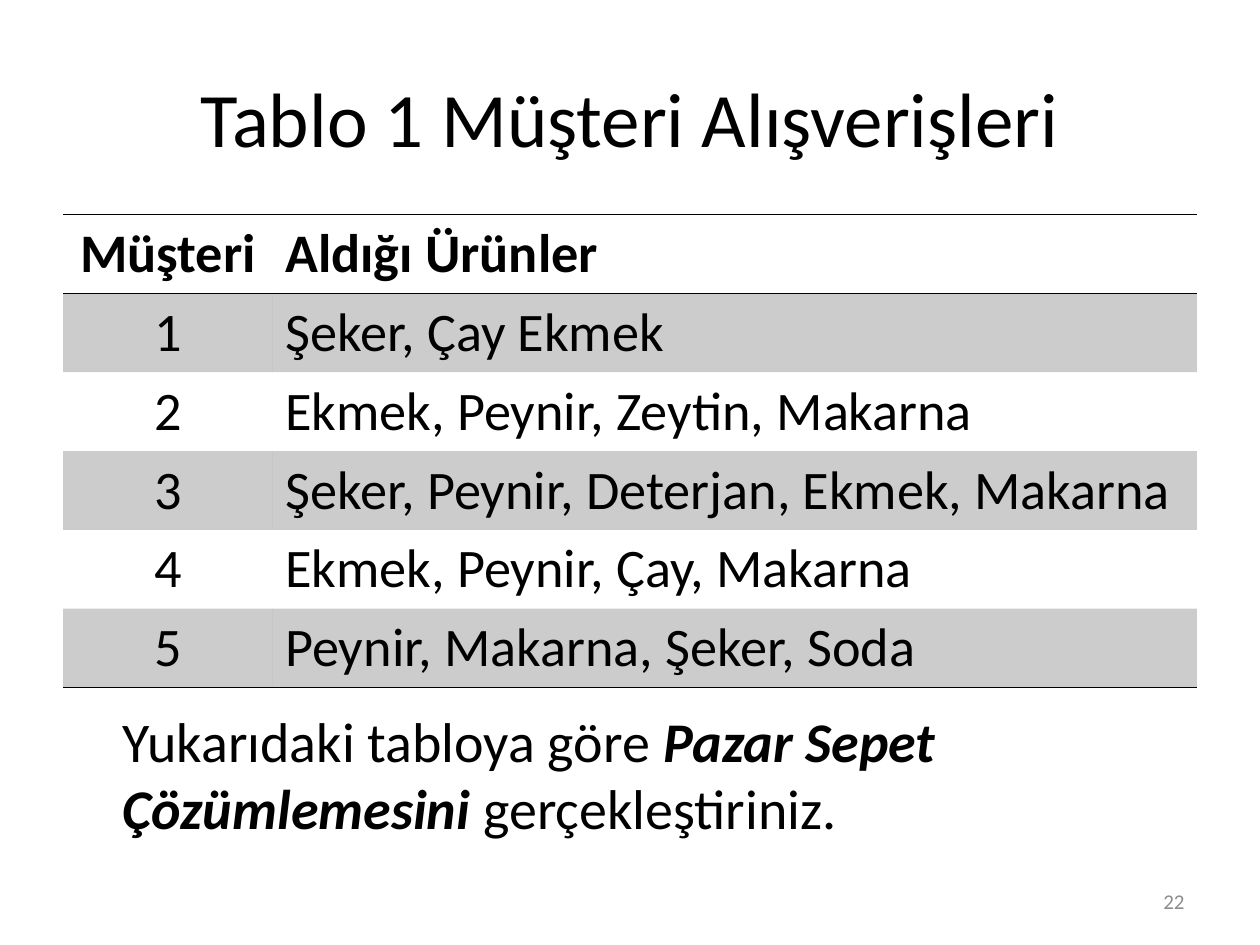
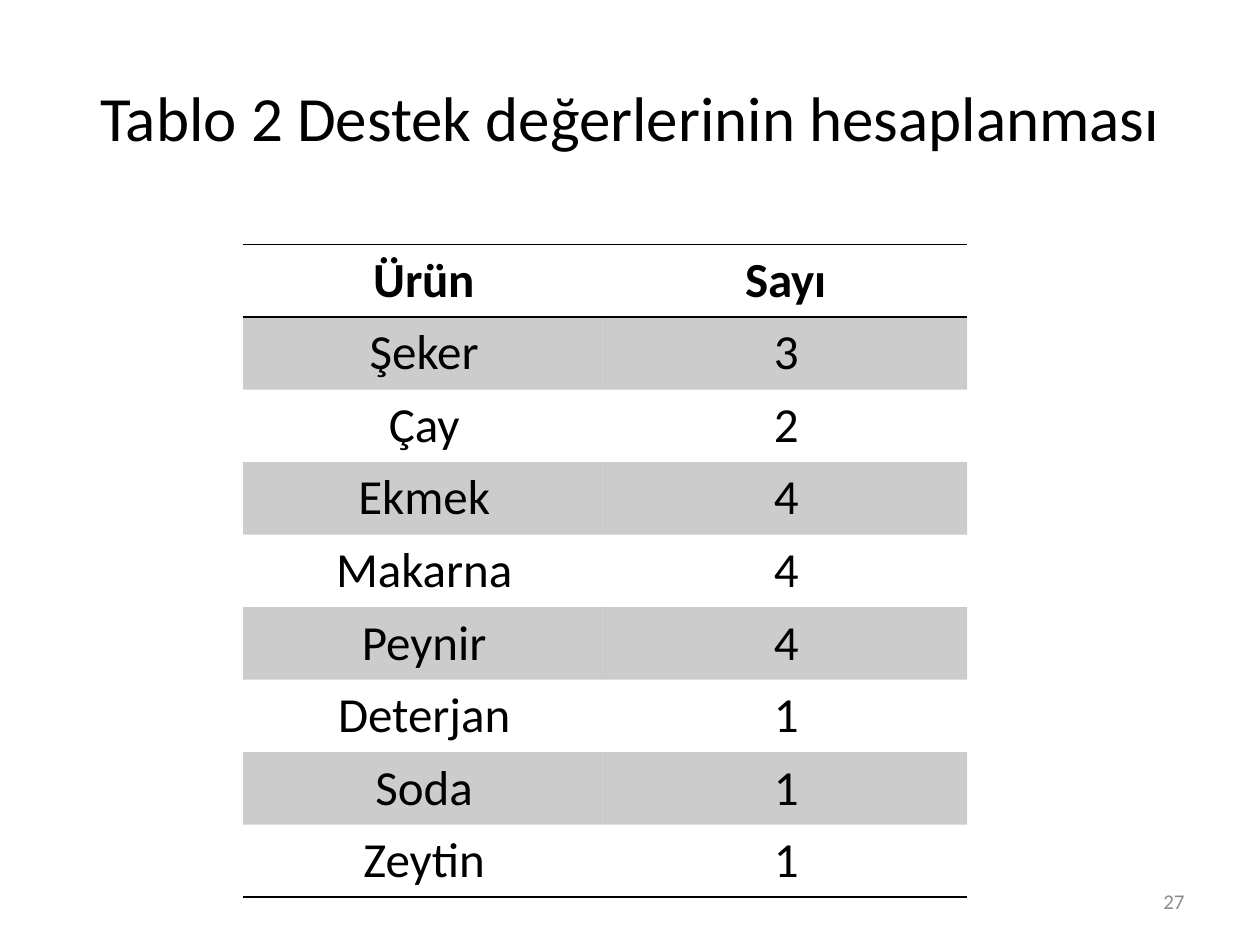
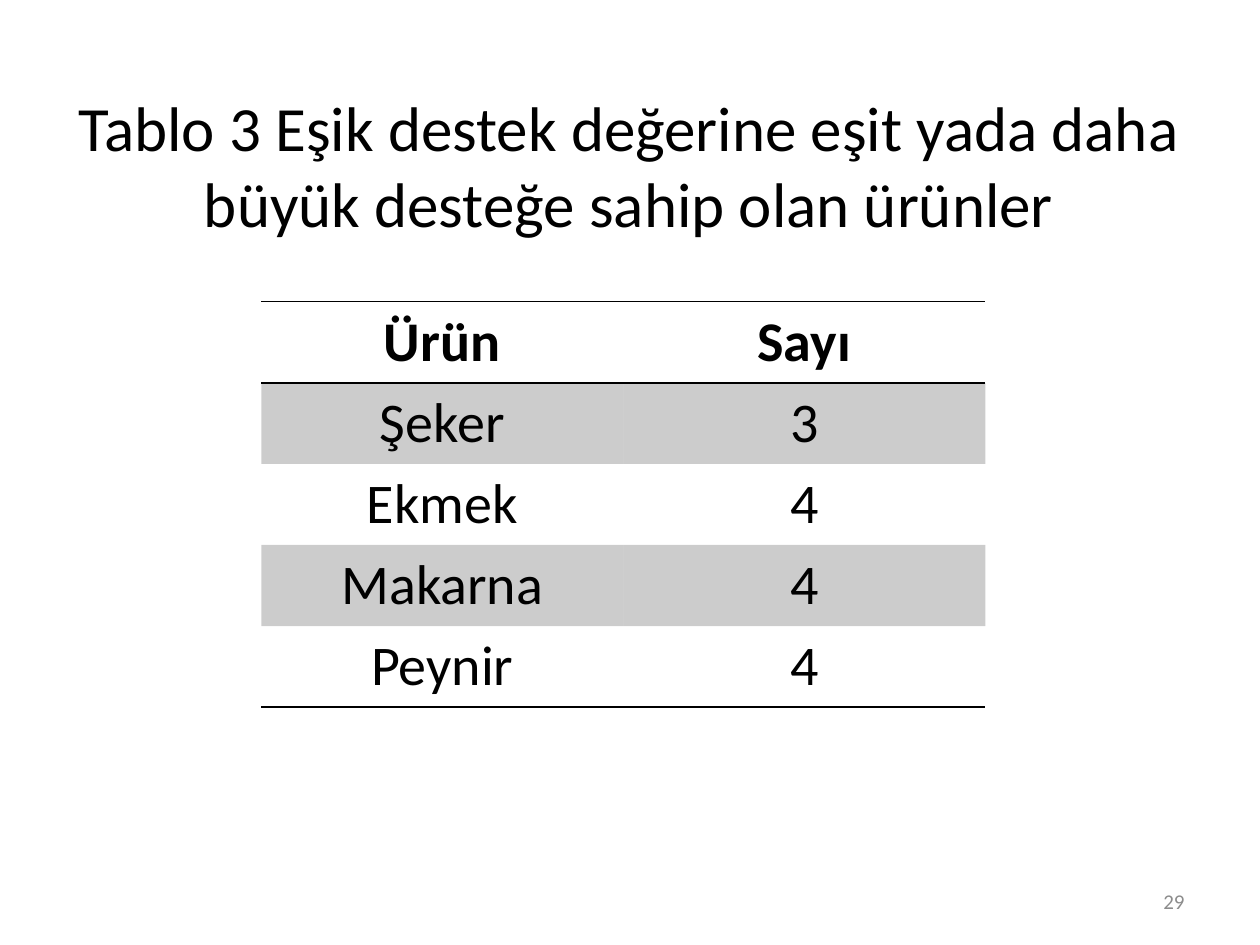
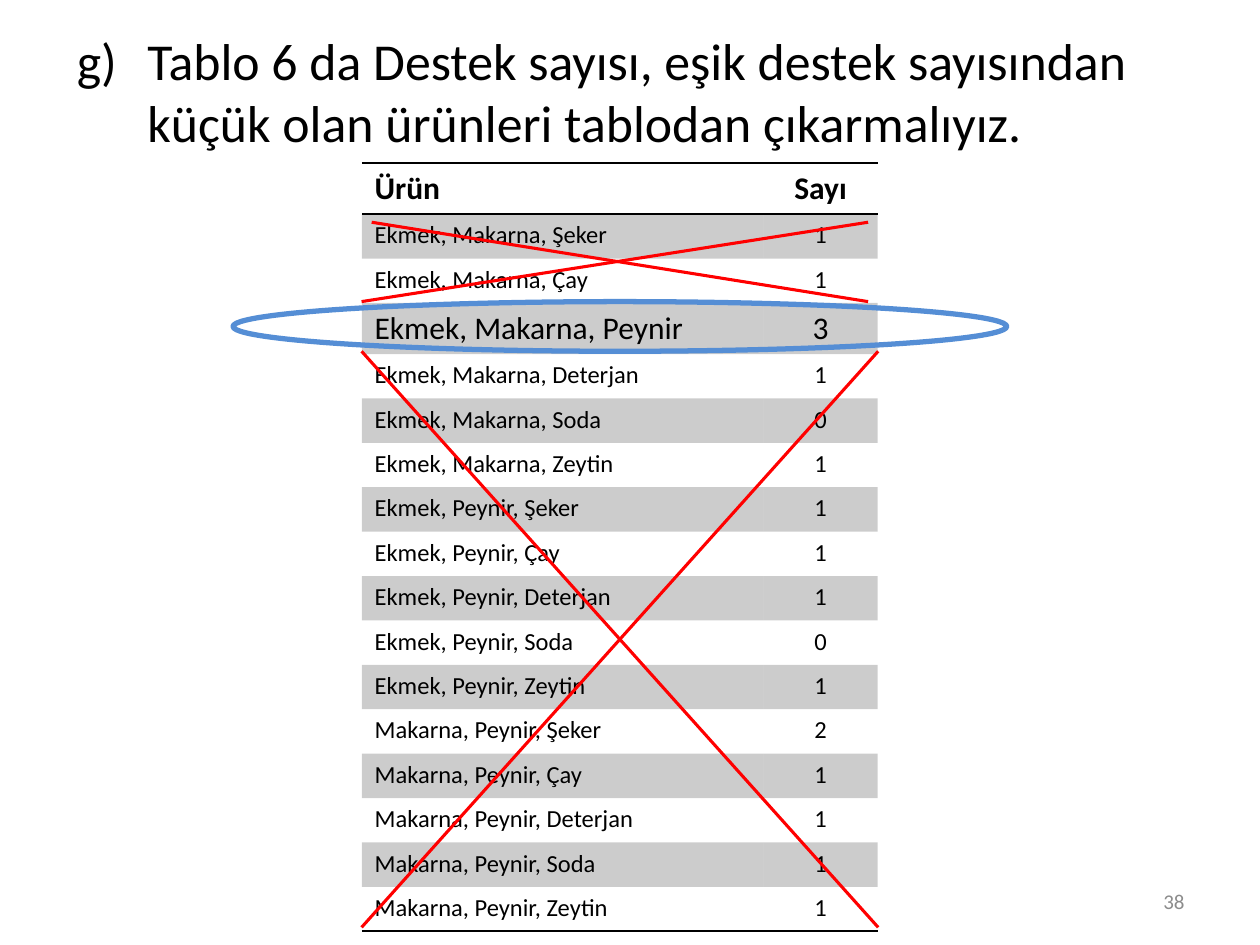
"""Build four slides on market basket analysis."""
import dataclasses

import lxml.etree
import pptx
import pptx.dml.color
import pptx.enum.shapes
import pptx.enum.text
import pptx.oxml.ns
import pptx.util

Pt = pptx.util.Pt
qn = pptx.oxml.ns.qn
RGB = pptx.dml.color.RGBColor.from_string
ALIGN = pptx.enum.text.PP_ALIGN
ANCHOR = pptx.enum.text.MSO_ANCHOR
WIDTH, HEIGHT = pptx.util.Inches(10), pptx.util.Inches(7.5)
COLS, ROWS = 100, 75


@dataclasses.dataclass(frozen=True)
class Theme:
    """Hold colours, type sizes and line widths."""
    font: str = "Calibri"
    ink: str = "000000"
    mute: str = "8C8C8C"
    ring: str = "558ED5"
    strike: str = "FF0000"
    shade: int = 20
    title: float = 44
    long: float = 36
    lead: float = 29.6
    note: float = 32
    wide: float = 31
    count: float = 28
    short: float = 32
    dense: float = 14
    stress: float = 18
    foot: float = 12
    rule: float = 1
    cross: float = 1.75
    loop: float = 3
    plain: str = "{2D5ABB26-0587-4C30-8999-92F81FD0307C}"


THEME = Theme()
HEAD = (5, 3, 90, 12.5)


def col(n):
    """Turn grid columns into a length."""
    return round(WIDTH * n / COLS)


def row(n):
    """Turn grid rows into a length."""
    return round(HEIGHT * n / ROWS)


def span(box):
    """Turn a grid box into left, top, width and height."""
    left, top, wide, high = box
    return col(left), row(top), col(wide), row(high)


def place(shape, box):
    """Move a shape to a grid box."""
    shape.left, shape.top, shape.width, shape.height = span(box)


def write(para, text, size, color=THEME.ink, bold=False, slant=False):
    """Add one run to a paragraph."""
    run = para.add_run()
    run.text = text
    font = run.font
    font.name, font.size = THEME.font, Pt(size)
    font.bold, font.italic = bold, slant
    font.color.rgb = RGB(color)


def setup(shape, anchor, align):
    """Set up a text frame and return its first paragraph."""
    frame = shape.text_frame
    frame.word_wrap = True
    frame.auto_size = pptx.enum.text.MSO_AUTO_SIZE.NONE
    frame.vertical_anchor = anchor
    para = frame.paragraphs[0]
    para.alignment = align
    return para


def indent(para, left, first):
    """Set the left and first-line indents of a paragraph."""
    props = para._p.get_or_add_pPr()
    props.set("marL", str(col(left)))
    props.set("indent", str(col(first)))
    return props


def footer(slide, number):
    """Add the slide number."""
    shape = slide.shapes.add_textbox(*span((71.7, 69.5, 23.3, 4)))
    write(setup(shape, ANCHOR.MIDDLE, ALIGN.RIGHT), str(number), THEME.foot, THEME.mute)


def titled(deck, text, number, size, box=HEAD):
    """Add a slide with a title and a number."""
    slide = deck.slides.add_slide(deck.slide_layouts[5])
    shape = slide.shapes.title
    place(shape, box)
    write(setup(shape, ANCHOR.MIDDLE, ALIGN.CENTER), text, size)
    footer(slide, number)
    return slide


def listed(deck, text, number, start):
    """Add a slide led by a lettered paragraph."""
    slide = deck.slides.add_slide(deck.slide_layouts[1])
    title = slide.shapes.title.element
    title.getparent().remove(title)
    shape = slide.placeholders[1]
    place(shape, (5.1, 1.8, 90, 10.6))
    para = setup(shape, ANCHOR.TOP, ALIGN.LEFT)
    props = indent(para, 5.6, -5.6)
    lxml.etree.SubElement(props, qn("a:buAutoNum"), type="alphaLcParenR", startAt=str(start))
    write(para, text, THEME.lead)
    footer(slide, number)
    return slide


def note(slide, box, parts):
    """Add an indented text whose parts may be stressed."""
    para = setup(slide.shapes.add_textbox(*span(box)), ANCHOR.TOP, ALIGN.LEFT)
    para.space_before = Pt(THEME.note / 5)
    indent(para, 3.75, 0)
    for text, stress in parts:
        write(para, text, THEME.note, bold=stress, slant=stress)


def border(cell, side):
    """Draw a rule on one side of a cell."""
    line = lxml.etree.SubElement(
        cell._tc.get_or_add_tcPr(), qn("a:" + side), w=str(Pt(THEME.rule)))
    fill = lxml.etree.SubElement(line, qn("a:solidFill"))
    lxml.etree.SubElement(fill, qn("a:srgbClr"), val=THEME.ink)


def tint(cell, band):
    """Shade a cell in a band or leave it clear."""
    if not band:
        cell.fill.background()
        return
    cell.fill.solid()
    cell.fill.fore_color.rgb = RGB(THEME.ink)
    color = cell._tc.tcPr.find(qn("a:solidFill")).find(qn("a:srgbClr"))
    lxml.etree.SubElement(color, qn("a:alpha"), val=str(THEME.shade * 1000))


def grid(slide, box, widths, data, size, aligns, large=None):
    """Add a banded table; large maps row numbers to type sizes."""
    frame = slide.shapes.add_table(len(data), len(widths), *span(box))
    table = frame.table
    table.first_row = table.horz_banding = False
    next(frame.element.iter(qn("a:tableStyleId"))).text = THEME.plain
    for column, wide in zip(table.columns, widths):
        column.width = col(wide)
    for r, line in enumerate(data):
        for c, text in enumerate(line):
            cell = table.cell(r, c)
            para = cell.text_frame.paragraphs[0]
            para.alignment = aligns[c]
            write(para, text, (large or {}).get(r, size), bold=r == 0)
            if r == 0:
                border(cell, "lnT")
            if r in (0, len(data) - 1):
                border(cell, "lnB")
            tint(cell, r % 2)


def ring(slide, box):
    """Add an open ellipse."""
    shape = slide.shapes.add_shape(pptx.enum.shapes.MSO_SHAPE.OVAL, *span(box))
    shape.shadow.inherit = False
    shape.fill.background()
    shape.line.color.rgb = RGB(THEME.ring)
    shape.line.width = Pt(THEME.loop)


def strike(slide, left, top, right, bottom):
    """Add a red line between two grid points."""
    line = slide.shapes.add_connector(
        pptx.enum.shapes.MSO_CONNECTOR.STRAIGHT,
        col(left), row(top), col(right), row(bottom))
    line.line.color.rgb = RGB(THEME.strike)
    line.line.width = Pt(THEME.cross)
    lxml.etree.SubElement(line.element.spPr, qn("a:effectLst"))


def baskets(deck):
    """Show what each customer bought."""
    slide = titled(deck, "Tablo 1 Müşteri Alışverişleri", 22, THEME.title)
    goods = ["Şeker, Çay Ekmek", "Ekmek, Peynir, Zeytin, Makarna",
             "Şeker, Peynir, Deterjan, Ekmek, Makarna",
             "Ekmek, Peynir, Çay, Makarna", "Peynir, Makarna, Şeker, Soda"]
    data = [("Müşteri", "Aldığı Ürünler")]
    data += [(str(n), text) for n, text in enumerate(goods, 1)]
    grid(slide, (5, 17.03, 90, 37), (16.66, 73.34), data, THEME.wide,
         (ALIGN.CENTER, ALIGN.LEFT))
    note(slide, (5, 55.6, 90, 14.2), [
        ("Yukarıdaki tabloya göre ", False),
        ("Pazar Sepet Çözümlemesini ", True),
        ("gerçekleştiriniz.", False)])


def counts(slide, box, pairs, size):
    """Add a table of goods and their counts."""
    data = [("Ürün", "Sayı"), *pairs]
    grid(slide, box, (box[2] / 2,) * 2, data, size, (ALIGN.CENTER,) * 2)


def support(deck):
    """Show the count of every product."""
    slide = titled(deck, "Tablo 2 Destek değerlerinin hesaplanması", 27, THEME.long)
    pairs = [("Şeker", "3"), ("Çay", "2"), ("Ekmek", "4"), ("Makarna", "4"),
             ("Peynir", "4"), ("Deterjan", "1"), ("Soda", "1"), ("Zeytin", "1")]
    counts(slide, (19.3, 19.4, 57.46, 51), pairs, THEME.count)


def kept(deck):
    """Show the products that reach the threshold."""
    slide = titled(
        deck, "Tablo 3 Eşik destek değerine eşit yada daha büyük desteğe sahip olan ürünler",
        29, THEME.long, (4.9, 6.8, 90, 12.5))
    pairs = [("Şeker", "3"), ("Ekmek", "4"), ("Makarna", "4"), ("Peynir", "4")]
    counts(slide, (20.74, 23.94, 57.46, 31.7), pairs, THEME.short)


def triples(deck):
    """Strike out the triples below the threshold."""
    slide = listed(
        deck, "Tablo 6 da Destek sayısı, eşik destek sayısından küçük olan "
        "ürünleri tablodan çıkarmalıyız.", 38, 7)
    groups = [
        ("Ekmek, Makarna", "Şeker Çay Peynir Deterjan Soda Zeytin", "113101"),
        ("Ekmek, Peynir", "Şeker Çay Deterjan Soda Zeytin", "11101"),
        ("Makarna, Peynir", "Şeker Çay Deterjan Soda Zeytin", "21111")]
    data = [("Ürün", "Sayı")]
    for pair, thirds, sums in groups:
        data += [(f"{pair}, {third}", n) for third, n in zip(thirds.split(), sums)]
    grid(slide, (28.73, 12.94, 40.94, 59.92), (31.87, 9.07), data, THEME.dense,
         (ALIGN.LEFT, ALIGN.CENTER), {0: THEME.stress, 3: THEME.stress})
    ring(slide, (18.5, 23.94, 61.4, 3.94))
    for ends in [(28.7, 23.94, 68.9, 17.64), (29.5, 17.64, 68.9, 23.94),
                 (28.7, 73.6, 69.7, 27.88), (28.7, 27.88, 69.7, 73.6)]:
        strike(slide, *ends)


def main():
    """Build and save the deck."""
    deck = pptx.Presentation()
    deck.slide_width, deck.slide_height = WIDTH, HEIGHT
    for build in (baskets, support, kept, triples):
        build(deck)
    deck.save("out.pptx")


if __name__ == "__main__":
    main()
